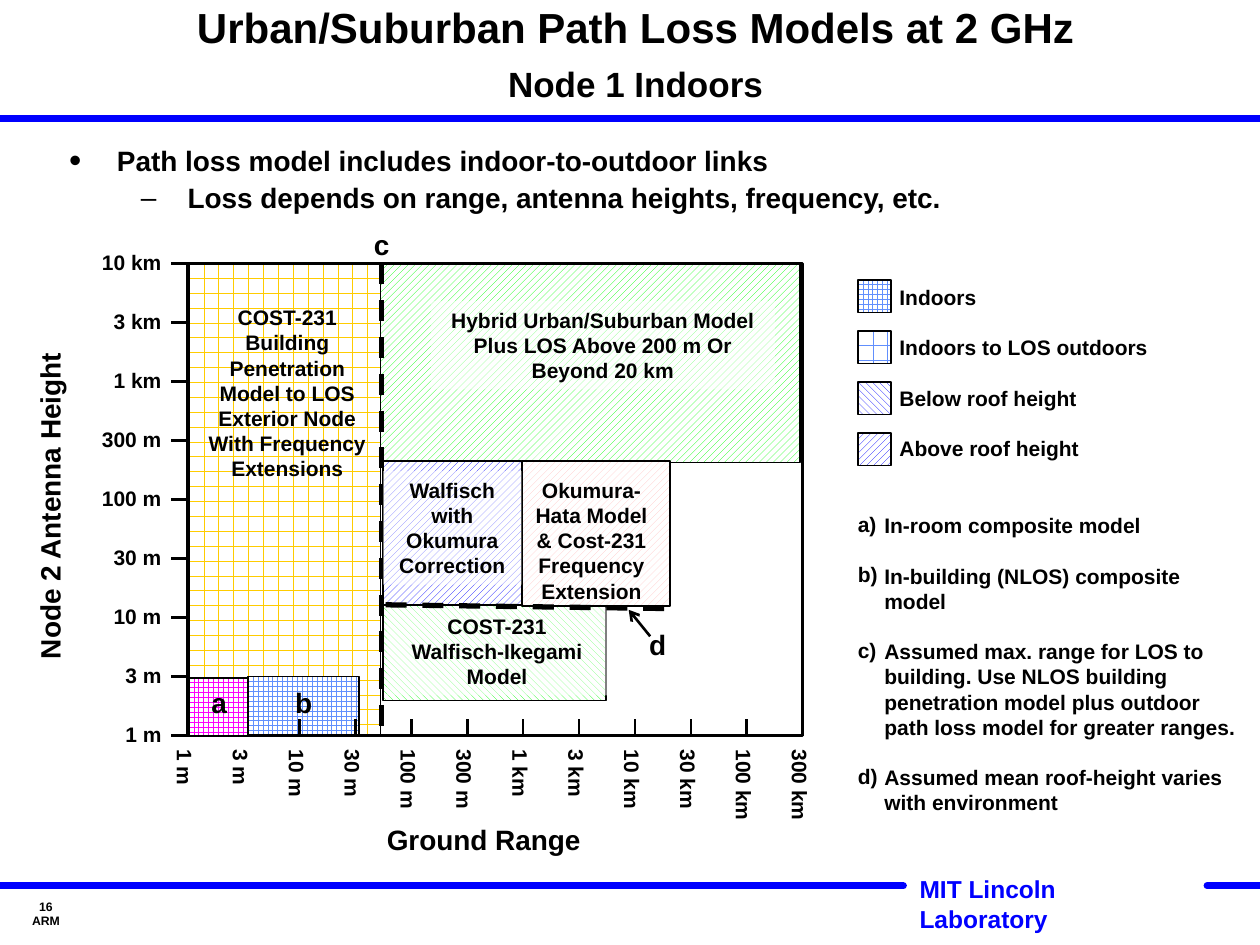
from lxml.etree import SubElement
from pptx import Presentation
from pptx.dml.color import RGBColor
from pptx.enum.dml import MSO_LINE, MSO_PATTERN
from pptx.enum.shapes import MSO_CONNECTOR, MSO_SHAPE
from pptx.enum.text import MSO_ANCHOR, MSO_AUTO_SIZE, PP_ALIGN
from pptx.oxml.ns import qn
from pptx.util import Inches, Pt

INK = {"black": "000000", "white": "FFFFFF", "blue": "0000FF", "sky": "618FFD",
       "green": "00FF00", "gold": "FFCC00", "pink": "FF00FF", "rose": "FFC5C5"}
GRID, BRICK = MSO_PATTERN.LARGE_GRID, MSO_PATTERN.HORIZONTAL_BRICK
DOWN, UP = MSO_PATTERN.WIDE_DOWNWARD_DIAGONAL, MSO_PATTERN.WIDE_UPWARD_DIAGONAL
LEFT, MID, RIGHT = PP_ALIGN.LEFT, PP_ALIGN.CENTER, PP_ALIGN.RIGHT


class Deck:
    """Holds the text style and the current slide, and draws each kind of element."""

    font = "Arial"

    def __init__(self):
        self.prs = Presentation()
        self.prs.slide_width, self.prs.slide_height = Inches(10), Inches(7.5)
        self.slide = self.prs.slides.add_slide(self.prs.slide_layouts[5])
        self.shapes = self.slide.shapes

    def color(self, name):
        return RGBColor.from_string(INK[name])

    def style(self, para, size, color="black", align=LEFT):
        para.alignment = align
        for run in para.runs:
            font = run.font
            font.name, font.size, font.bold = self.font, Pt(size), True
            font.color.rgb = self.color(color)

    def title(self, text, box, sizes):
        shape = self.shapes.title
        shape.left, shape.top, shape.width, shape.height = map(Inches, box)
        frame = shape.text_frame
        frame.text = text
        frame.auto_size = MSO_AUTO_SIZE.NONE
        frame.vertical_anchor = MSO_ANCHOR.MIDDLE
        para = frame.paragraphs[0]
        para.line_spacing = Pt(30)
        self.style(para, sizes[0], align=MID)
        for run, size in zip(para.runs, sizes):
            run.font.size = Pt(size)

    def fill_text(self, shape, text, size, color, align, gaps):
        frame = shape.text_frame
        frame.text = text
        frame.word_wrap = True
        for i, para in enumerate(frame.paragraphs):
            self.style(para, size, color, align)
            if i and gaps:
                para.space_before = Pt(gaps[i - 1])
        return frame

    def text(self, text, box, size=12, color="black", align=LEFT, gaps=(), turn=0):
        shape = self.shapes.add_textbox(*map(Inches, box))
        shape.rotation = turn
        return self.fill_text(shape, text, size, color, align, gaps)

    def rect(self, box, line=1.0):
        shape = self.shapes.add_shape(MSO_SHAPE.RECTANGLE, *map(Inches, box))
        shape.shadow.inherit = False
        shape.fill.background()
        if line:
            shape.line.color.rgb = self.color("black")
            shape.line.width = Pt(line)
        else:
            shape.line.fill.background()
        return shape

    def zone(self, box, pattern, color):
        fill = self.rect(box).fill
        fill.patterned()
        fill.pattern = pattern
        fill.fore_color.rgb = self.color(color)
        fill.back_color.rgb = self.color("white")

    def veil(self, text, box):
        shape = self.rect(box, 0)
        shape.fill.solid()
        shape.fill.fore_color.rgb = self.color("white")
        tint = shape.fill._xPr.find(qn("a:solidFill"))[0]
        SubElement(tint, qn("a:alpha"), val="50000")
        frame = self.fill_text(shape, text, 12, "black", MID, ())
        frame.vertical_anchor = MSO_ANCHOR.TOP

    def line(self, x1, y1, x2, y2, width=1.5, color="black", dash=False, arrow=False, cap="flat"):
        line = self.shapes.add_connector(MSO_CONNECTOR.STRAIGHT, *map(Inches, (x1, y1, x2, y2)))
        line.line.color.rgb = self.color(color)
        line.line.width = Pt(width)
        if dash:
            line.line.dash_style = MSO_LINE.DASH
        pen = line.line._get_or_add_ln()
        pen.set("cap", cap)
        if arrow:
            SubElement(pen, qn("a:tailEnd"), type="arrow")
        SubElement(line._element.spPr, qn("a:effectLst"))

    def bullets(self, items, box):
        frame = self.text("\n".join(item[0] for item in items), box, 16, gaps=[4])
        for para, (_, mark, indent, hang, scale) in zip(frame.paragraphs, items):
            props = para._p.get_or_add_pPr()
            props.set("marL", str(Inches(indent)))
            props.set("indent", str(-Inches(hang)))
            SubElement(props, qn("a:buSzPct"), val=str(scale * 1000))
            SubElement(props, qn("a:buFont"), typeface=self.font)
            SubElement(props, qn("a:buChar"), char=mark)
            para.line_spacing = 0.9


def frame_page(deck):
    deck.line(0, 0.94, 10, 0.94, 4, "blue")
    deck.line(0, 7.03, 7.17, 7.03, 4, "blue", cap="rnd")
    deck.line(9.58, 7.03, 10, 7.03, 4, "blue", cap="rnd")
    deck.text("MIT Lincoln Laboratory", (7.2, 6.89, 1.8, 0.57), 14, "blue")
    foot = deck.text("16\nARM", (0, 7, 0.73, 0.5), 7, align=MID)
    foot.vertical_anchor = MSO_ANCHOR.MIDDLE
    deck.title("Urban/Suburban Path Loss Models at 2 GHz\vNode 1 Indoors",
               (1.17, 0, 7.75, 0.83), (24, 20))
    deck.bullets([
        ("Path loss model includes indoor-to-outdoor links", "•", 0.38, 0.38, 125),
        ("Loss depends on range, antenna heights, frequency, etc.", "–", 0.94, 0.37, 100),
    ], (0.45, 1.12, 7.62, 0.89))


def draw_key(deck):
    row = 14.4
    keys = [("Indoors", GRID, "sky"), ("Indoors to LOS outdoors", BRICK, "sky"),
            ("Below roof height", DOWN, "blue"), ("Above roof height", UP, "blue")]
    for i, (_, pattern, color) in enumerate(keys):
        deck.zone((6.81, 2.22 + i * 0.405, 0.26, 0.26), pattern, color)
    deck.text("\n".join(key[0] for key in keys), (7.04, 2.21, 2.6, 1.5), gaps=[row] * 3)
    deck.text("a)\nb)\nc)\nd)", (6.71, 4.01, 0.38, 2.5), gaps=[row, row * 2, row * 4])
    notes = ["In-room composite model", "In-building (NLOS) composite model",
             "Assumed max. range for LOS to building. Use NLOS building penetration model "
             "plus outdoor path loss model for greater ranges.",
             "Assumed mean roof-height varies with environment"]
    deck.text("\n".join(notes), (6.92, 4.02, 3.08, 2.7), gaps=[row] * 3)


def draw_axes(deck):
    left, base, xstep, ystep = 1.49, 5.84, 0.44, 0.47
    marks = ["1 m", "3 m", "10 m", "30 m", "100 m", "300 m",
             "1 km", "3 km", "10 km", "30 km", "100 km", "300 km"]
    deck.rect((left, 2.09, 4.88, 3.75), 1.5)
    xstep, ystep = 4.88 / 11, 3.75 / 8
    for i, mark in enumerate(marks):
        x = left + i * xstep
        deck.line(x, base - 0.13, x, base)
        deck.text(mark, (x - 0.42, 6.1, 0.8, 0.3), turn=90)
    for i, mark in enumerate(marks[:9]):
        y = base - i * ystep
        deck.line(left - 0.13, y, left, y)
        deck.text(mark, (0.58, y - 0.16, 0.8, 0.3), align=RIGHT)
    deck.text("Ground Range", (2.87, 6.48, 1.94, 0.37), 16, align=MID)
    deck.text("Node 2 Antenna Height", (-0.98, 3.83, 2.75, 0.37), 16, align=MID, turn=270)


def draw_plot(deck):
    deck.zone((1.49, 2.09, 4.86, 1.58), UP, "green")
    deck.zone((1.5, 2.09, 1.52, 3.74), BRICK, "gold")
    deck.zone((3.04, 4.43, 1.77, 1.13), DOWN, "green")
    deck.zone((1.97, 5.37, 0.88, 0.47), GRID, "sky")
    draw_axes(deck)
    deck.zone((1.5, 5.38, 0.47, 0.46), GRID, "pink")
    deck.zone((4.14, 3.66, 1.18, 1.15), UP, "rose")
    deck.zone((3.04, 3.66, 1.1, 1.14), UP, "blue")
    deck.text("COST-231 Building Penetration Model to LOS Exterior Node\n"
              "With Frequency Extensions", (1.52, 2.37, 1.52, 1.5), align=MID)
    deck.text("Okumura-Hata Model & Cost-231 Frequency Extension",
              (4.11, 3.74, 1.17, 1.1), align=MID)
    deck.veil("Hybrid Urban/Suburban Model Plus LOS Above 200 m Or Beyond 20 km",
              (3.42, 2.39, 2.73, 0.7))
    deck.veil("COST-231 Walfisch-Ikegami Model", (3.07, 4.82, 1.75, 0.7))
    deck.line(3.03, 2.09, 3.03, 5.85, 3, dash=True)
    deck.line(3.06, 4.8, 5.32, 4.83, 3, dash=True)
    deck.veil("Walfisch with Okumura Correction", (3.04, 3.74, 1.1, 0.9))
    deck.line(5.16, 5.05, 4.99, 4.84, arrow=True)
    for tag, x, y in [("a", 1.74, 5.39), ("b", 2.41, 5.39), ("c", 3.03, 1.76), ("d", 5.22, 4.93)]:
        deck.text(tag, (x - 0.2, y, 0.4, 0.37), 16, align=MID)


def main():
    deck = Deck()
    frame_page(deck)
    draw_key(deck)
    draw_plot(deck)
    deck.prs.save("out.pptx")


if __name__ == "__main__":
    main()
